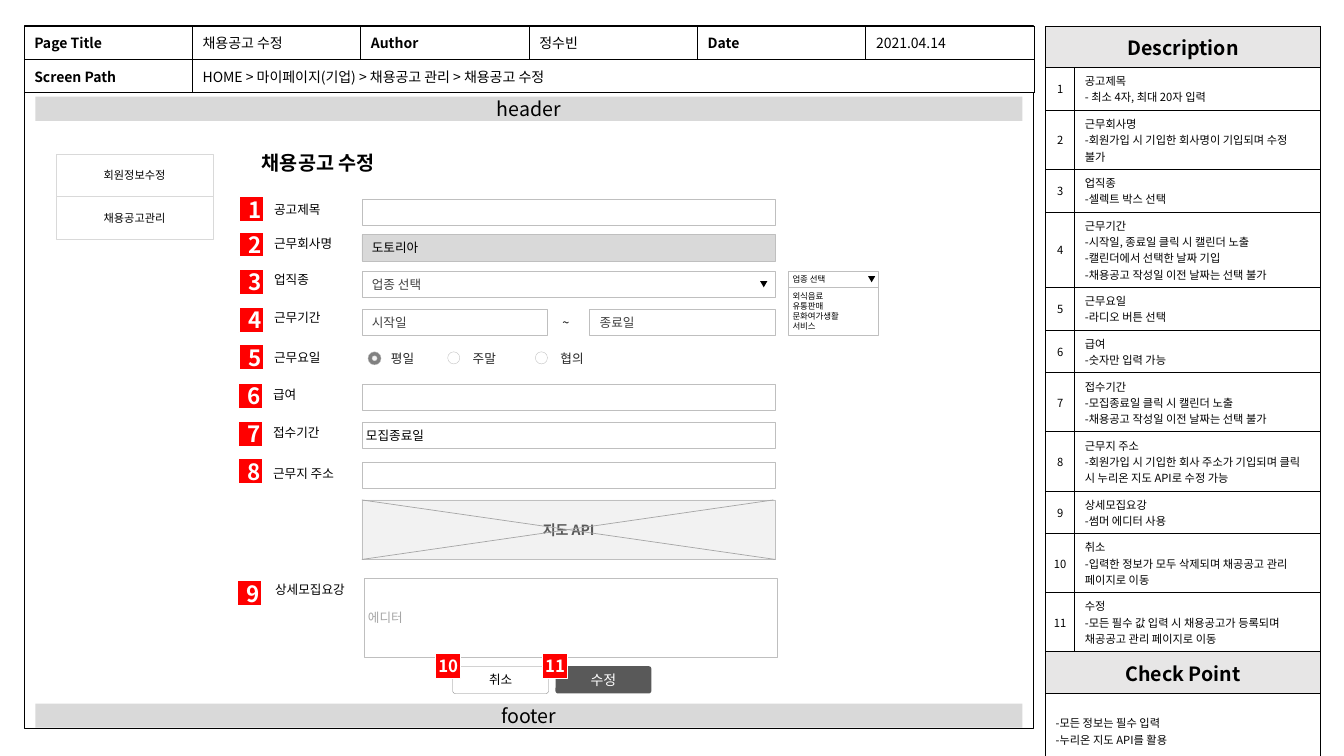
from dataclasses import dataclass
from typing import NamedTuple, Optional

from lxml.etree import SubElement
from pptx import Presentation
from pptx.dml.color import RGBColor
from pptx.enum.shapes import MSO_CONNECTOR, MSO_SHAPE as SHAPE
from pptx.enum.text import MSO_ANCHOR as ANCHOR, MSO_AUTO_SIZE as AUTO, PP_ALIGN as ALIGN
from pptx.oxml import parse_xml
from pptx.oxml.ns import nsdecls, qn
from pptx.util import Emu, Pt

PX = 9144  # one px is a hundredth of an inch
NOTO, ARIAL = "Noto Sans CJK KR", "Arial"
COLORS = {
    "black": "000000", "white": "FFFFFF", "red": "FF0000", "bar": "D9D9D9",
    "heading": "E7E6E6", "border": "BFBFBF", "map": "F2F2F2", "cross": "A6A6A6",
    "hint": "404040", "option": "262626", "dark": "595959", "gray": "808080",
}


class Style(NamedTuple):
    size: float = 9
    font: str = NOTO
    color: str = "black"
    bold: bool = False
    align: ALIGN = ALIGN.LEFT
    inset: tuple[int, int, int, int] = (10, 5, 10, 5)


@dataclass
class Box:
    x: int
    y: int
    w: int
    h: int
    text: str = ""
    style: Style = Style()
    fill: Optional[str] = None
    line: Optional[str] = "border"
    width: float = 0.5
    kind: SHAPE = SHAPE.RECTANGLE
    rotation: int = 0


@dataclass
class Label:
    x: int
    y: int
    w: int
    text: str
    style: Style = Style()
    h: int = 25
    wrap: bool = False


class Field(NamedTuple):
    name: str
    x: int
    y: int
    w: int
    badge_x: int
    badge_y: int


def px(n: int) -> Emu:
    return Emu(n * PX)


def rgb(name: str) -> RGBColor:
    return RGBColor.from_string(COLORS[name])


def write(tf, text: str, style: Style) -> None:
    for i, content in enumerate(text.split("\n")):
        p = tf.paragraphs[0] if i == 0 else tf.add_paragraph()
        p.alignment = style.align
        r = p.add_run()
        r.text = content
        formats = {"size": Pt(style.size), "name": style.font, "bold": style.bold}
        for key, value in formats.items():
            setattr(r.font, key, value)
        r.font.color.rgb = rgb(style.color)
        SubElement(r.font._element, qn("a:ea")).set("typeface", NOTO)


def set_margins(target, inset: tuple[int, int, int, int]) -> None:
    for side, value in zip(("left", "top", "right", "bottom"), inset):
        setattr(target, f"margin_{side}", px(value))


def draw_box(slide, box: Box) -> None:
    s = slide.shapes.add_shape(box.kind, *map(px, (box.x, box.y, box.w, box.h)))
    s.shadow.inherit = False
    s.rotation = box.rotation
    if box.kind == SHAPE.ROUNDED_RECTANGLE:
        s.adjustments[0] = 0.09
    if box.fill:
        s.fill.solid()
        s.fill.fore_color.rgb = rgb(box.fill)
    else:
        s.fill.background()
    if box.line:
        s.line.color.rgb = rgb(box.line)
        s.line.width = Pt(box.width)
    else:
        s.line.fill.background()
    if box.text:
        s.text_frame.vertical_anchor = ANCHOR.MIDDLE
        set_margins(s.text_frame, box.style.inset)
        write(s.text_frame, box.text, box.style)


def draw_label(slide, label: Label) -> None:
    tf = slide.shapes.add_textbox(*map(px, (label.x, label.y, label.w, label.h))).text_frame
    for key, value in {"word_wrap": label.wrap, "auto_size": AUTO.SHAPE_TO_FIT_TEXT}.items():
        setattr(tf, key, value)
    write(tf, label.text, label.style)


def draw_cross_line(slide, x1: int, y1: int, x2: int, y2: int) -> None:
    c = slide.shapes.add_connector(MSO_CONNECTOR.STRAIGHT, *map(px, (x1, y1, x2, y2)))
    c.line.color.rgb = rgb("cross")
    c.line.width = Pt(0.5)
    SubElement(c._element.spPr, qn("a:effectLst"))


def add_grid(slide, x: int, y: int, cols: list[int], rows: list[int]):
    frame = slide.shapes.add_table(len(rows), len(cols), *map(px, (x, y, sum(cols), sum(rows))))
    table = frame.table
    table.first_row = table.horz_banding = False
    for col, w in zip(table.columns, cols):
        col.width = px(w)
    for row, h in zip(table.rows, rows):
        row.height = px(h)
    for cell in table.iter_cells():
        cell.fill.background()
        tc_pr = cell._tc.get_or_add_tcPr()
        for i, side in enumerate("LRTB"):
            tc_pr.insert(i, parse_xml(
                f'<a:ln{side} {nsdecls("a")} w="9525"><a:solidFill>'
                f'<a:srgbClr val="{COLORS["black"]}"/></a:solidFill></a:ln{side}>'))
    return table


def fill_cell(cell, text: str, style: Style, fill: Optional[str] = None) -> None:
    cell.vertical_anchor = ANCHOR.MIDDLE
    set_margins(cell, style.inset)
    if fill:
        cell.fill.solid()
        cell.fill.fore_color.rgb = rgb(fill)
    write(cell.text_frame, text, style)


# Text styles
CENTER = Style(align=ALIGN.CENTER)
BAR = CENTER._replace(size=14)
HEADING = BAR._replace(bold=True)
NOTE = Style(size=8)
MENU = NOTE._replace(align=ALIGN.CENTER)
INDEX = MENU._replace(inset=(0, 5, 0, 5))
INPUT = Style(font=ARIAL)
HINT = INPUT._replace(color="hint")
TIGHT = INPUT._replace(inset=(4, 5, 10, 5))
SMALL = TIGHT._replace(size=6)
OPTION = INPUT._replace(color="option")
BADGE = HEADING._replace(size=16, color="white")
BUTTON_BADGE = BADGE._replace(size=12, inset=(0, 5, 0, 5))

# Content
INFO = ["Page Title", "채용공고 수정", "Author", "정수빈", "Date", "2021.04.14"]
PATH_TEXT = "HOME > 마이페이지(기업) > 채용공고 관리 > 채용공고 수정"
DESCRIPTIONS = [
    "공고제목\n- 최소 4자, 최대 20자 입력",
    "근무회사명\n-회원가입 시 기입한 회사명이 기입되며 수정 불가",
    "업직종\n-셀렉트 박스 선택",
    "근무기간\n-시작일, 종료일 클릭 시 캘린더 노출\n-캘린더에서 선택한 날짜 기입\n"
    "-채용공고 작성일 이전 날짜는 선택 불가",
    "근무요일\n-라디오 버튼 선택",
    "급여\n-숫자만 입력 가능",
    "접수기간\n-모집종료일 클릭 시 캘린더 노출\n-채용공고 작성일 이전 날짜는 선택 불가",
    "근무지 주소\n-회원가입 시 기입한 회사 주소가 기입되며 클릭 시 누리온 지도 API로 수정 가능",
    "상세모집요강\n-썸머 에디터 사용",
    "취소\n-입력한 정보가 모두 삭제되며 채공공고 관리 페이지로 이동",
    "수정\n-모든 필수 값 입력 시 채용공고가 등록되며 채공공고 관리 페이지로 이동",
]
CHECKS = "-모든 정보는 필수 입력\n-누리온 지도 API를 활용"
FIELDS = [
    Field("공고제목", 262, 195, 71, 237, 195), Field("근무회사명", 262, 229, 83, 237, 230),
    Field("업직종", 262, 265, 58, 237, 267), Field("근무기간", 262, 303, 71, 237, 305),
    Field("근무요일", 262, 342, 71, 237, 342), Field("급여", 261, 379, 45, 236, 380),
    Field("접수기간", 261, 417, 71, 236, 418), Field("근무지 주소", 261, 457, 88, 236, 455),
    Field("상세모집요강", 263, 572, 96, 235, 576),
]
BARS = [Box(35, y, 979, 24, text, BAR, "bar", None) for y, text in ((96, "header"), (698, "footer"))]
INPUTS = [Box(359, y, 410, 26) for y in (198, 381, 459)] + [
    Box(359, 233, 410, 26, "도토리아", INPUT, "bar"),
    Box(359, 269, 410, 26, "업종 선택", HINT),
    Box(359, 307, 184, 26, "시작일", HINT),
    Box(585, 307, 184, 26, "종료일", HINT),
    Box(359, 419, 410, 26, "모집종료일", TIGHT),
    Box(361, 574, 410, 78, "에디터", TIGHT._replace(color="cross")),
    Box(359, 496, 410, 59, "지도 API", CENTER._replace(size=10, color="dark", bold=True), "map"),
    Box(782, 269, 89, 16, "업종 선택", SMALL),
    Box(782, 285, 89, 48, "외식음료\n유통판매\n문화여가생활\n서비스", SMALL),
]
ARROWS = [Box(x, y, 7, 6, fill="black", line=None, kind=SHAPE.ISOSCELES_TRIANGLE, rotation=180)
          for x, y in ((754, 279), (861, 274))]
RADIOS = [Box(x, y, d, d, fill=fill, width=0.25, kind=SHAPE.OVAL) for x, y, d, fill in (
    (365, 349, 13, "gray"), (369, 353, 5, "map"), (444, 349, 12, None), (531, 349, 12, None))]
BUTTONS = [
    Box(551, 661, 95, 27, "수정", CENTER._replace(size=10, color="white"), "dark", None,
        kind=SHAPE.ROUNDED_RECTANGLE),
    Box(449, 661, 95, 27, "취소", CENTER, None, "gray", 0.25, SHAPE.ROUNDED_RECTANGLE),
]
BADGES = [Box(f.badge_x, f.badge_y, 25, 25, str(n), BADGE, "red", "white", 1)
          for n, f in enumerate(FIELDS, 1)]
BADGES += [Box(x, 648, 25, 25, n, BUTTON_BADGE, "red", "white", 1) for x, n in ((432, "10"), (538, "11"))]
MENUS = [Box(56, y, 155, 42, text, MENU, "white", "bar", 0.25)
         for y, text in ((195, "채용공고관리"), (153, "회원정보수정"))]
LABELS = [Label(f.x, f.y, f.w, f.name) for f in FIELDS] + [
    Label(250, 145, 163, "채용공고 수정", INPUT._replace(size=14, bold=True), 37),
    Label(548, 307, 29, "~"),
] + [Label(x, 343, w, text, OPTION, wrap=True)
     for x, w, text in ((378, 74, "평일"), (459, 52, "주말"), (546, 52, "협의"))]


def main() -> None:
    prs = Presentation()
    prs.slide_width, prs.slide_height = px(1333), px(750)
    slide = prs.slides.add_slide(prs.slide_layouts[6])
    draw_box(slide, Box(24, 26, 1001, 697, line="black", width=1))

    # Description table
    table = add_grid(slide, 1037, 26, [29, 244], [41] * 13 + [75])
    last = len(DESCRIPTIONS) + 1
    for row in (0, last, last + 1):
        table.cell(row, 0).merge(table.cell(row, 1))
    for row, text in ((0, "Description"), (last, "Check Point")):
        fill_cell(table.cell(row, 0), text, HEADING, "heading")
    for n, text in enumerate(DESCRIPTIONS, 1):
        fill_cell(table.cell(n, 0), str(n), INDEX)
        fill_cell(table.cell(n, 1), text, NOTE)
    fill_cell(table.cell(last + 1, 0), CHECKS, NOTE)

    # Page information table
    table = add_grid(slide, 24, 26, [167] * 6, [33, 33])
    table.cell(1, 1).merge(table.cell(1, 5))
    for row, texts in enumerate((INFO, ["Screen Path", PATH_TEXT])):
        for col, text in enumerate(texts):
            fill_cell(table.cell(row, col), text, Style(size=10, bold=col % 2 == 0), "white")

    # Form
    for box in BARS + INPUTS + ARROWS + RADIOS:
        draw_box(slide, box)
    draw_cross_line(slide, 359, 496, 769, 555)
    draw_cross_line(slide, 767, 496, 359, 555)
    for label in LABELS:
        draw_label(slide, label)
    for box in BUTTONS + BADGES + MENUS:
        draw_box(slide, box)
    prs.save("out.pptx")


if __name__ == "__main__":
    main()
